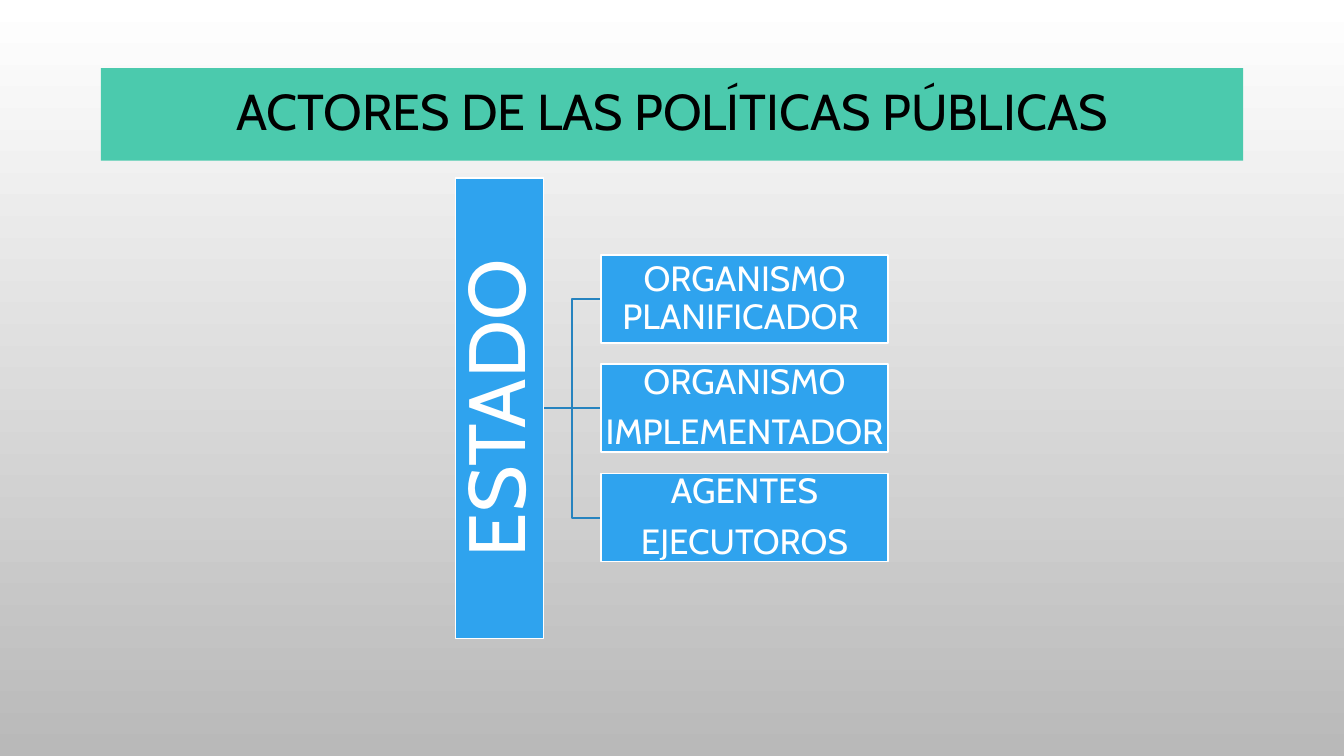
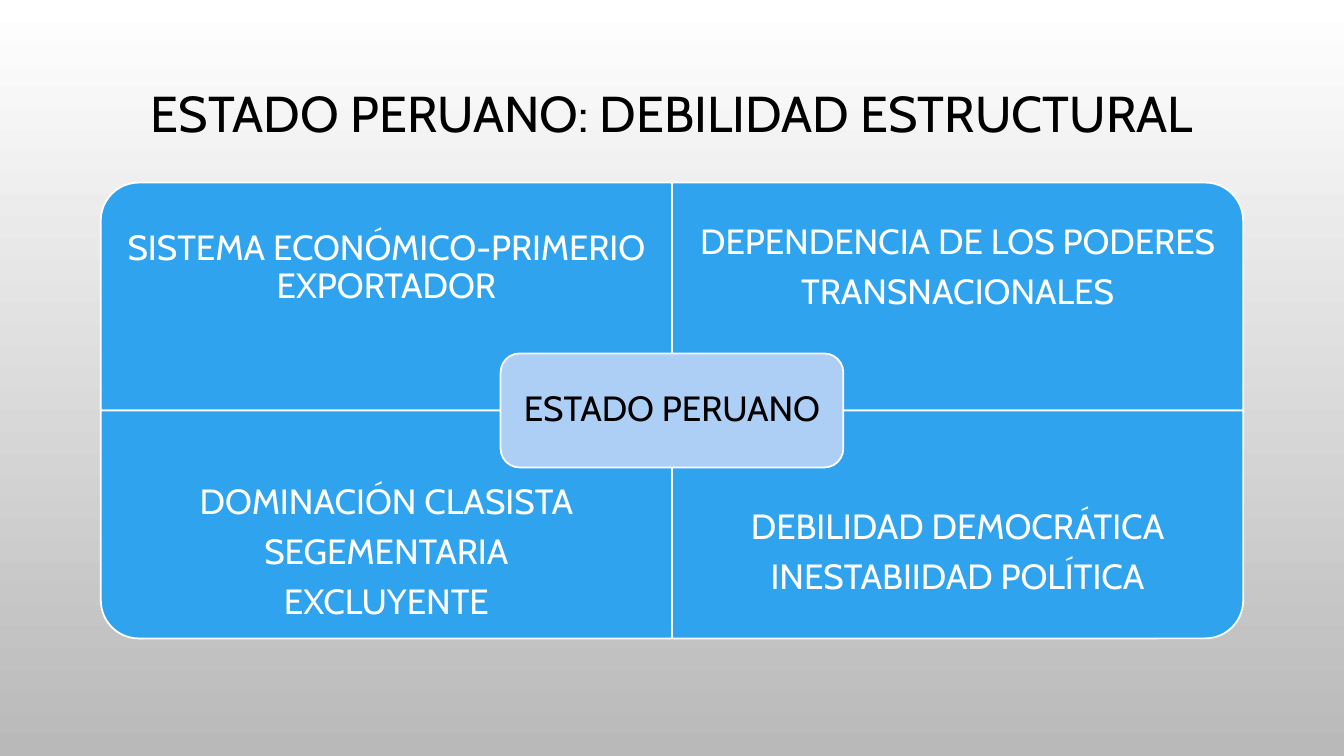
from lxml.etree import SubElement
from pptx import Presentation
from pptx.dml.color import RGBColor
from pptx.enum.shapes import MSO_CONNECTOR, MSO_SHAPE
from pptx.enum.text import MSO_ANCHOR, PP_ALIGN
from pptx.oxml.ns import qn
from pptx.util import Inches, Pt

WIDTH, HEIGHT = Inches(13.33), Inches(7.5)
FONT = "Cabin"
COLORS = {
    "sky": "FFFFFF",
    "ground": "B9B9B9",
    "band": "4BCAAD",
    "blue": "2FA3EE",
    "pale": "ADCEF5",
    "link": "2683BF",
    "white": "FFFFFF",
    "black": "000000",
}
MARGIN = 0.075
FULL = 1 - 2 * MARGIN
MIDDLE = 0.54
QUARTERS = [
    (0, 0, 270, ["SISTEMA ECONÓMICO-PRIMERIO EXPORTADOR"]),
    (1, 0, 0, ["DEPENDENCIA DE LOS PODERES", "TRANSNACIONALES"]),
    (0, 1, 180, ["DOMINACIÓN CLASISTA", "SEGEMENTARIA", "EXCLUYENTE"]),
    (1, 1, 90, ["DEBILIDAD DEMOCRÁTICA", "INESTABIIDAD POLÍTICA"]),
]
BRANCHES = [
    ["ORGANISMO PLANIFICADOR "],
    ["ORGANISMO", "IMPLEMENTADOR"],
    ["AGENTES", "EJECUTOROS"],
]


def color(name):
    return RGBColor.from_string(COLORS[name])


def frame(left, top, width, height):
    return [round(share * size) for share, size in
            zip((left, top, width, height), (WIDTH, HEIGHT) * 2)]


def write(box, lines, size=25, ink="white", inset=0.02):
    text = box.text_frame
    text.word_wrap = True
    text.vertical_anchor = MSO_ANCHOR.MIDDLE
    text.margin_left = text.margin_right = Inches(inset)
    text.margin_top = text.margin_bottom = Inches(inset)
    for index, line in enumerate(lines):
        para = text.add_paragraph() if index else text.paragraphs[0]
        para.alignment = PP_ALIGN.CENTER
        para.line_spacing = 0.9
        para.space_after = Pt(0.35 * size if index < len(lines) - 1 else 0)
        span = para.add_run()
        span.text = line
        span.font.name, span.font.size = FONT, Pt(size)
        span.font.color.rgb = color(ink)


def add_text(page, place, lines, **style):
    write(page.shapes.add_textbox(*frame(*place)), lines, **style)


def add_block(page, place, kind=MSO_SHAPE.RECTANGLE, fill="blue",
              edge="white", turn=0):
    left, top, width, height = frame(*place)
    if turn % 180:
        left += (width - height) // 2
        top += (height - width) // 2
        width, height = height, width
    box = page.shapes.add_shape(kind, left, top, width, height)
    box.shadow.inherit = False
    box.rotation = turn
    box.fill.solid()
    box.fill.fore_color.rgb = color(fill)
    if edge:
        box.line.color.rgb = color(edge)
        box.line.width = Pt(1.25)
    else:
        box.line.fill.background()
    return box


def add_link(page, start, end):
    kind = MSO_CONNECTOR.STRAIGHT if start[1] == end[1] else MSO_CONNECTOR.ELBOW
    link = page.shapes.add_connector(kind, *frame(*start, *end))
    link.line.color.rgb = color("link")
    link.line.width = Pt(1.25)
    SubElement(link._element.spPr, qn("a:effectLst"))


def add_page(deck, title, height, band=None):
    page = deck.slides.add_slide(deck.slide_layouts[6])
    place = (MARGIN, 0.09, FULL, height)
    if band:
        add_block(page, place, fill=band, edge=None)
    add_text(page, place, [title], size=36, ink="black", inset=0.05)
    return page


def add_tree(page):
    spine_left, spine_width, spine_height = 0.339, 0.0655, 0.609
    branch_left, branch_width, branch_height, pitch = 0.447, 0.2138, 0.1165, 0.1447
    spine = (spine_left, MIDDLE - spine_height / 2, spine_width, spine_height)
    centers = [MIDDLE + (row - 1) * pitch for row in range(len(BRANCHES))]
    for center in centers:
        add_link(page, (spine_left + spine_width, MIDDLE), (branch_left, center))
    write(add_block(page, spine, turn=270), ["ESTADO"], size=57, inset=0.04)
    for center, lines in zip(centers, BRANCHES):
        place = (branch_left, center - branch_height / 2, branch_width, branch_height)
        write(add_block(page, place), lines)


def add_matrix(page):
    cell_width, cell_height, top = FULL / 2, 0.3015, 0.2415
    text_height = cell_height * 3 / 4
    for column, row, turn, lines in QUARTERS:
        left, cell_top = MARGIN + column * cell_width, top + row * cell_height
        add_block(page, (left, cell_top, cell_width, cell_height),
                  kind=MSO_SHAPE.ROUND_1_RECTANGLE, turn=turn)
        text_top = cell_top + row * (cell_height - text_height)
        add_text(page, (left, text_top, cell_width, text_height), lines, inset=0.19)
    core_width, core_height = cell_width * 0.6, cell_height / 2
    core = (0.5 - core_width / 2, top + cell_height - core_height / 2,
            core_width, core_height)
    write(add_block(page, core, kind=MSO_SHAPE.ROUNDED_RECTANGLE, fill="pale"),
          ["ESTADO PERUANO"], ink="black", inset=0.1)


def main():
    deck = Presentation()
    deck.slide_width, deck.slide_height = WIDTH, HEIGHT
    backdrop = deck.slide_master.background.fill
    backdrop.gradient()
    backdrop.gradient_angle = 270
    for stop, name in zip(backdrop.gradient_stops, ("sky", "ground")):
        stop.color.rgb = color(name)
    add_tree(add_page(deck, "ACTORES DE LAS POLÍTICAS PÚBLICAS", 0.1225, band="band"))
    add_matrix(add_page(deck, "ESTADO PERUANO: DEBILIDAD ESTRUCTURAL", 0.128))
    deck.save("out.pptx")


if __name__ == "__main__":
    main()
